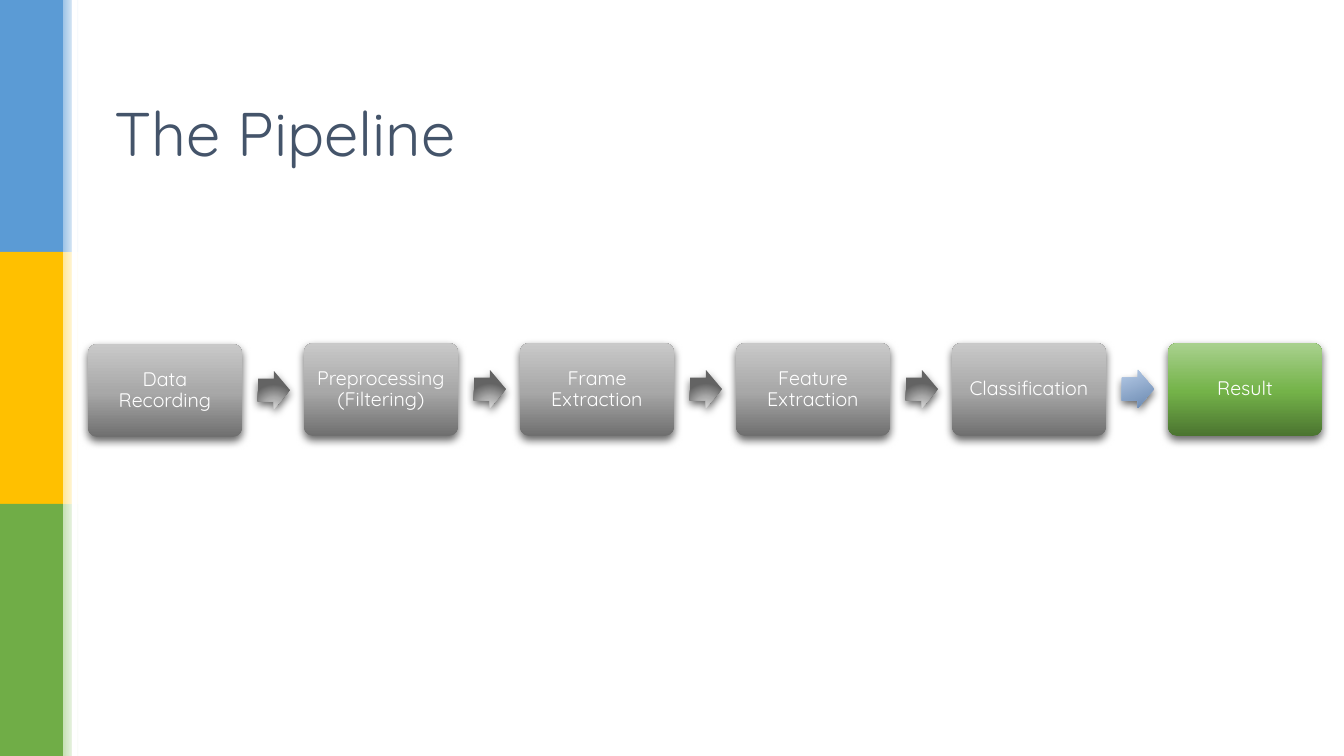
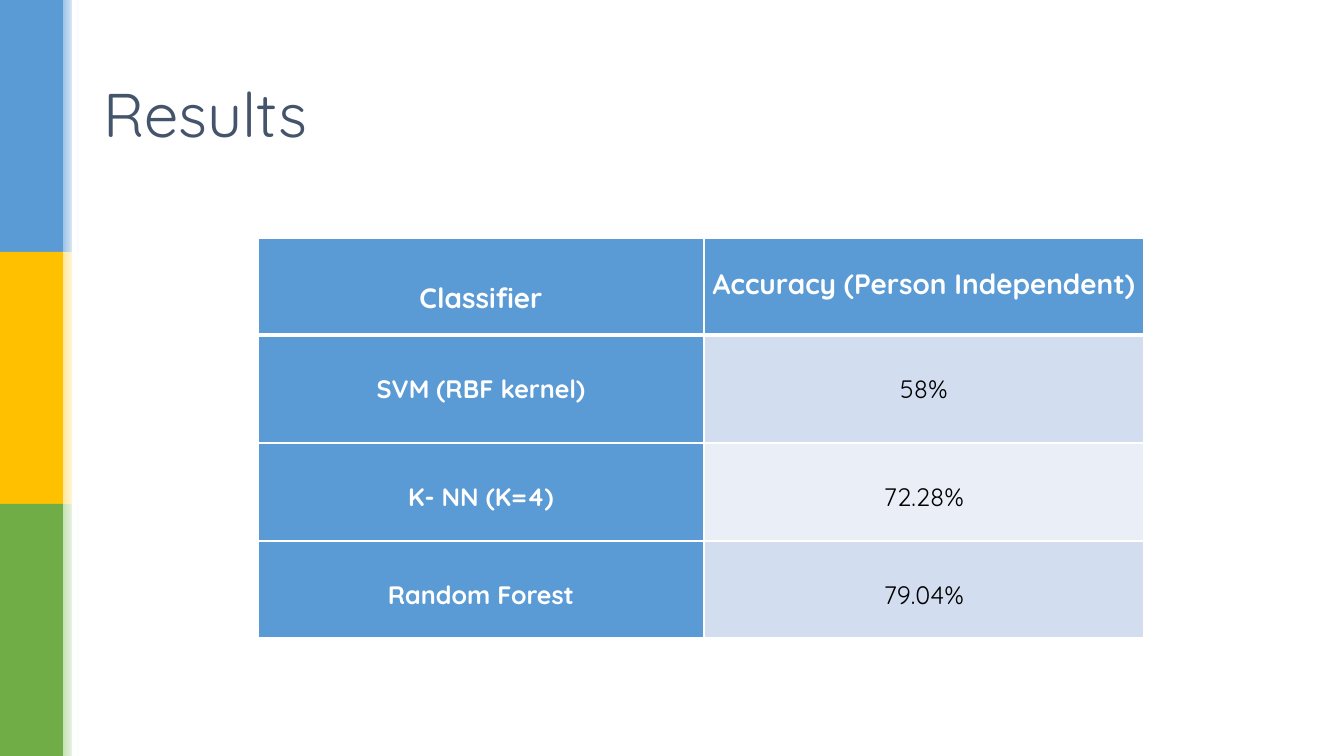
from lxml.etree import SubElement
from pptx import Presentation
from pptx.dml.color import RGBColor
from pptx.enum.shapes import MSO_SHAPE
from pptx.enum.text import MSO_ANCHOR, PP_ALIGN
from pptx.oxml import parse_xml
from pptx.oxml.ns import nsdecls, qn
from pptx.util import Pt

FONT = "Quicksand"
WHITE = RGBColor(0xFF, 0xFF, 0xFF)
BLACK = RGBColor(0, 0, 0)
SLATE = RGBColor(0x44, 0x54, 0x6A)
BLUE = RGBColor(0x5B, 0x9B, 0xD5)
GOLD = RGBColor(0xFF, 0xC0, 0x00)
GREEN = RGBColor(0x70, 0xAD, 0x47)
PALE_BLUE = RGBColor(0x9D, 0xC3, 0xE6)
PALE_GOLD = RGBColor(0xFF, 0xE6, 0x99)
PALE_GREEN = RGBColor(0xC5, 0xE0, 0xB4)
ROW_DARK = RGBColor(0xD2, 0xDE, 0xEF)
ROW_LIGHT = RGBColor(0xEA, 0xEF, 0xF7)

# Gradient stops: (percent, colour)
GRAY_BOX = [(0, RGBColor(0x6F, 0x6F, 0x6F)), (48, RGBColor(0xA8, 0xA8, 0xA8)),
            (100, RGBColor(0xC9, 0xC9, 0xC9))]
GREEN_BOX = [(0, RGBColor(0x4B, 0x74, 0x30)), (48, RGBColor(0x74, 0xB3, 0x49)),
             (100, RGBColor(0xA9, 0xD1, 0x8E))]
GRAY_ARROW = [(0, RGBColor(0xDB, 0xDB, 0xDB)), (46, RGBColor(0xAA, 0xAA, 0xAA)),
              (100, RGBColor(0x63, 0x63, 0x63))]
BLUE_ARROW = [(0, RGBColor(0xB5, 0xCB, 0xE7)), (100, RGBColor(0x6A, 0x88, 0xB0))]

BANDS = [(BLUE, PALE_BLUE), (GOLD, PALE_GOLD), (GREEN, PALE_GREEN)]
STEPS = ["Data Recording", "Preprocessing (Filtering)", "Frame Extraction",
         "Feature Extraction", "Classification", "Result"]
ROWS = [("Classifier", "Accuracy (Person Independent)"),
        ("SVM (RBF kernel)", "58%"),
        ("K- NN (K=4)", "72.28%"),
        ("Random Forest", "79.04%")]
COLS = [446, 440]
HEIGHTS = [97, 108, 98, 97]

WIDE, HIGH = 1344, 756
PITCH = 216


def px(n):
    return round(n * 914400 / 100.8)


def write(frame, text, size=14, color=WHITE, bold=False, align=PP_ALIGN.CENTER,
          space=1.0):
    frame.word_wrap = True
    para = frame.paragraphs[0]
    para.alignment = align
    para.line_spacing = space
    run = para.add_run()
    run.text = text
    font = run.font
    font.name, font.size, font.bold = FONT, Pt(size), bold
    font.color.rgb = color


def blend(shape, stops, angle=None):
    """Fill with a gradient; without an angle it glows from the bottom centre."""
    shape.fill.gradient()
    grad = shape.element.spPr.find(qn("a:gradFill"))
    for child in list(grad):
        grad.remove(child)
    items = SubElement(grad, qn("a:gsLst"))
    for pos, color in stops:
        stop = SubElement(items, qn("a:gs"), pos=str(pos * 1000))
        SubElement(stop, qn("a:srgbClr"), val=str(color))
    if angle is None:
        glow = SubElement(grad, qn("a:path"), path="circle")
        SubElement(glow, qn("a:fillToRect"), l="50000", t="130000",
                   r="50000", b="-30000")
    else:
        SubElement(grad, qn("a:lin"), ang=str(angle * 60000), scaled="0")


def draw(slide, kind, x, y, w, h, color=None, stops=None, angle=None):
    shape = slide.shapes.add_shape(kind, px(x), px(y), px(w), px(h))
    if stops:
        blend(shape, stops, angle)
    else:
        shape.fill.solid()
        shape.fill.fore_color.rgb = color
    shape.line.fill.background()
    shape.shadow.inherit = False
    return shape


def shade(shape):
    """Add a soft shadow below the shape."""
    shape.element.spPr.find(qn("a:effectLst")).append(parse_xml(
        f'<a:outerShdw {nsdecls("a")} blurRad="{Pt(6)}" dist="{Pt(3)}" '
        'dir="5400000" algn="ctr" rotWithShape="0"><a:srgbClr val="000000">'
        '<a:alpha val="60000"/></a:srgbClr></a:outerShdw>'))


def brand(layout, slide):
    """Draw the side bands and move them to the layout."""
    tall = HIGH // len(BANDS)
    parts = []
    for i, (color, pale) in enumerate(BANDS):
        parts.append(draw(slide, MSO_SHAPE.RECTANGLE, 0, i * tall, 63, tall, color))
        parts.append(draw(slide, MSO_SHAPE.RECTANGLE, 63, i * tall, 16, tall,
                          stops=[(0, pale), (100, WHITE)], angle=0))
    parts.append(draw(slide, MSO_SHAPE.RECTANGLE, 72, 0, 5, HIGH, WHITE))
    for i, part in enumerate(parts):
        part.element.nvSpPr.cNvPr.id = 20 + i
        layout.shapes.element.insert(2 + i, part.element)


def head(slide, text, x, y):
    title = slide.shapes.title
    title.left, title.top, title.width, title.height = map(px, (x, y, 1159, 146))
    title.text_frame.vertical_anchor = MSO_ANCHOR.MIDDLE
    write(title.text_frame, text, size=44, color=SLATE, align=PP_ALIGN.LEFT)


def flow(slide):
    last = len(STEPS) - 1
    for i, step in enumerate(STEPS):
        x, drop = 88 + i * PITCH, 1 if i == 0 else 0
        box = draw(slide, MSO_SHAPE.ROUNDED_RECTANGLE, x, 343 + drop, 154, 93,
                   stops=GREEN_BOX if i == last else GRAY_BOX, angle=270)
        box.adjustments[0] = 0.1
        shade(box)
        frame = box.text_frame
        frame.margin_left = frame.margin_right = px(9)
        frame.vertical_anchor = MSO_ANCHOR.MIDDLE
        write(frame, step, space=0.9)
        if i == last:
            break
        final = i == last - 1
        arrow = draw(slide, MSO_SHAPE.RIGHT_ARROW, x + 170, 370 + drop, 32, 38,
                     stops=BLUE_ARROW if final else GRAY_ARROW,
                     angle=69 if final else None)
        arrow.adjustments[0] = 0.6
        shade(arrow)


def edge(cell, **widths):
    """Set white borders; each key is a side: L, R, T or B."""
    props = cell._tc.get_or_add_tcPr()
    for i, (side, width) in enumerate(widths.items()):
        props.insert(i, parse_xml(
            f'<a:ln{side} {nsdecls("a")} w="{Pt(width)}"><a:solidFill>'
            f'<a:srgbClr val="{WHITE}"/></a:solidFill></a:ln{side}>'))


def scores(slide):
    table = slide.shapes.add_table(len(ROWS), len(COLS), px(258), px(238),
                                   px(sum(COLS)), px(sum(HEIGHTS))).table
    table.horz_banding = False
    for col, wide in zip(table.columns, COLS):
        col.width = px(wide)
    for r, (row, tall) in enumerate(zip(ROWS, HEIGHTS)):
        table.rows[r].height = px(tall)
        for c, text in enumerate(row):
            cell = table.cell(r, c)
            value = r > 0 and c > 0
            cell.fill.solid()
            cell.fill.fore_color.rgb = (
                BLUE if not value else ROW_DARK if r % 2 else ROW_LIGHT)
            cell.margin_left = cell.margin_right = px(7)
            cell.margin_top = px(38 if r else (42, 28)[c])
            cell.margin_bottom = 0
            cell.vertical_anchor = MSO_ANCHOR.TOP
            write(cell.text_frame, text, size=18 if r else 20,
                  color=BLACK if value else WHITE, bold=not value)
            edge(cell, L=1, R=1, T=3 if r == 1 else 1, B=1 if r else 3)


def main():
    deck = Presentation()
    deck.slide_width, deck.slide_height = px(WIDE), px(HIGH)
    layout = deck.slide_layouts[5]
    first, second = (deck.slides.add_slide(layout) for _ in range(2))
    brand(layout, first)
    head(first, "The Pipeline", 104, 59)
    flow(first)
    head(second, "Results", 93, 40)
    scores(second)
    deck.save("out.pptx")


if __name__ == "__main__":
    main()
